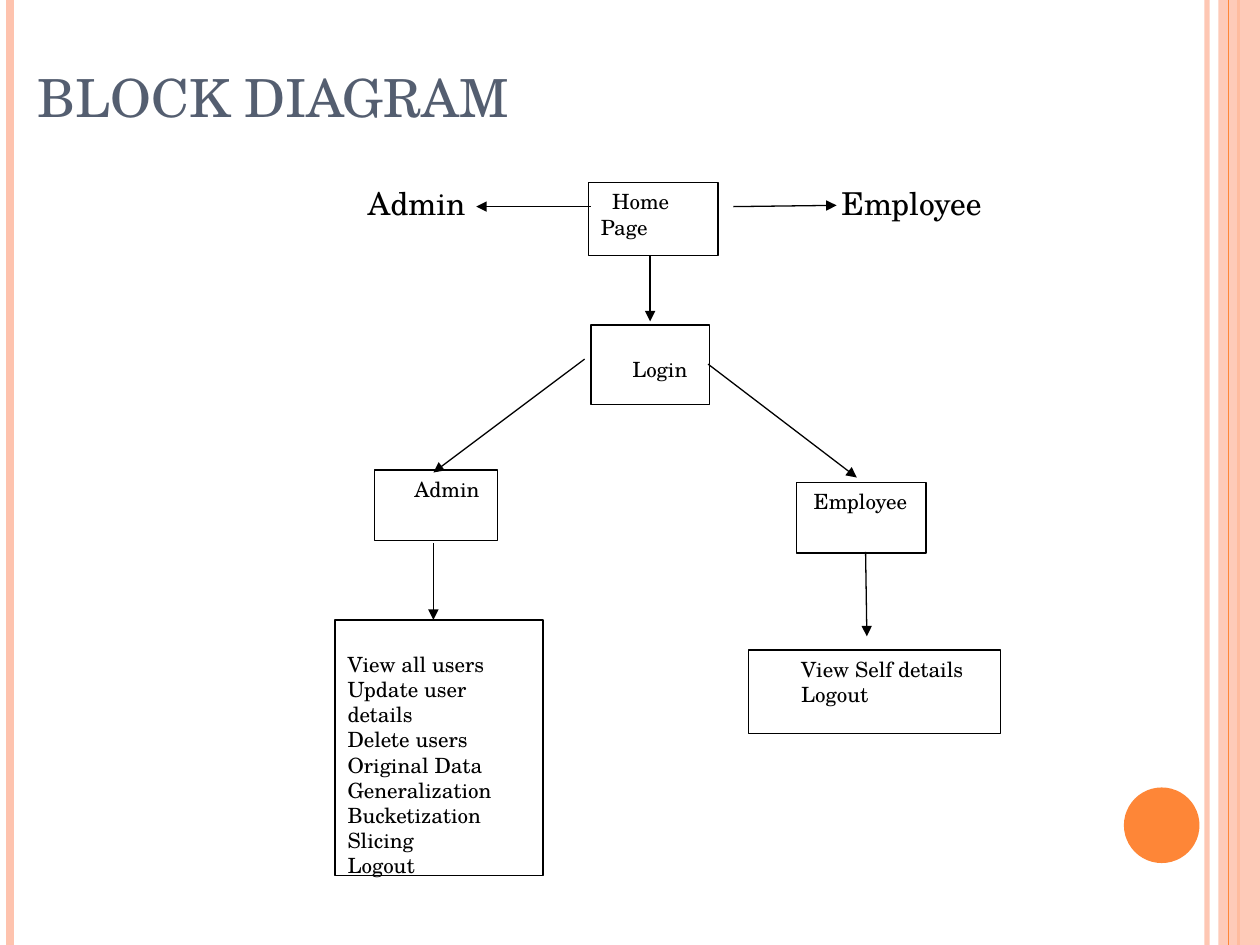
from dataclasses import dataclass

from lxml import etree
from pptx import Presentation
from pptx.dml.color import RGBColor
from pptx.enum.shapes import MSO_CONNECTOR, MSO_SHAPE
from pptx.enum.text import MSO_ANCHOR, MSO_AUTO_SIZE, PP_ALIGN
from pptx.oxml.ns import qn
from pptx.util import Inches, Pt

RECT, OVAL = MSO_SHAPE.RECTANGLE, MSO_SHAPE.OVAL
STRAIGHT = MSO_CONNECTOR.STRAIGHT
TOP, MIDDLE, BOTTOM = MSO_ANCHOR.TOP, MSO_ANCHOR.MIDDLE, MSO_ANCHOR.BOTTOM
LEFT, FIXED = PP_ALIGN.LEFT, MSO_AUTO_SIZE.NONE
CELL = 0.1
LINE = 0.2


@dataclass(frozen=True)
class Theme:
    """Colours, font and type sizes."""
    font: str = "TeX Gyre Schola"
    ink: str = "000000"
    paper: str = "FFFFFF"
    slate: str = "545E70"
    peach: str = "FEC3AE"
    orange: str = "FE8637"
    head: int = 30
    label: int = 18
    body: int = 12
    thin: float = 0.75


@dataclass(frozen=True)
class Box:
    """A region in inches, ruled into cells."""
    left: float
    top: float
    width: float
    height: float

    def spot(self, col, row):
        """Return the slide position of a grid point."""
        return Inches(self.left + col * CELL), Inches(self.top + row * CELL)

    def area(self, col, row, cols, rows):
        """Return the slide frame of a block of cells."""
        return (*self.spot(col, row), Inches(cols * CELL), Inches(rows * CELL))

    def frame(self):
        """Return the whole region as a slide frame."""
        return self.area(0, 0, self.width / CELL, self.height / CELL)


THEME = Theme()


def fade(part, share):
    """Set the opacity of a solid fill or line in percent."""
    for color in part.iter(qn("a:srgbClr")):
        etree.SubElement(color, qn("a:alpha")).set("val", str(share * 1000))


def rule(slide, start, end, color, width):
    """Draw a straight line without a shadow."""
    line = slide.shapes.add_connector(STRAIGHT, *start, *end)
    line.line.color.rgb = RGBColor.from_string(color)
    line.line.width = Pt(width)
    etree.SubElement(line._element.spPr, qn("a:effectLst"))
    return line


def arrow(slide, start, end):
    """Draw a line with a head at its end."""
    line = rule(slide, start, end, THEME.ink, THEME.thin)
    etree.SubElement(line.line._get_or_add_ln(), qn("a:tailEnd")).set("type", "triangle")


def block(slide, kind, frame, fill, edge=None):
    """Draw a filled shape, outlined if an edge colour is given."""
    shape = slide.shapes.add_shape(kind, *frame)
    shape.shadow.inherit = False
    shape.fill.solid()
    shape.fill.fore_color.rgb = RGBColor.from_string(fill)
    if edge:
        shape.line.color.rgb = RGBColor.from_string(edge)
        shape.line.width = Pt(THEME.thin)
    else:
        shape.line.fill.background()
    return shape


def write(shape, text, size, color, anchor=TOP, indent=0):
    """Fill a shape with left-aligned text."""
    frame = shape.text_frame
    frame.text = text
    frame.word_wrap = True
    frame.auto_size = FIXED
    frame.vertical_anchor = anchor
    for para in frame.paragraphs:
        para.alignment = LEFT
        props = para._p.get_or_add_pPr()
        props.set("marL", "0")
        props.set("indent", str(Inches(indent)))
        for run in para.runs:
            run.font.name = THEME.font
            run.font.size = Pt(size)
            run.font.color.rgb = RGBColor.from_string(color)


def rails(slide, box):
    """Draw the side bands and the round badge."""
    rows = box.height / CELL

    def bar(col, color, width):
        """Draw one line from top to bottom."""
        return rule(slide, box.spot(col, 0), box.spot(col, rows), color, width)

    fade(bar(95.8, THEME.peach, 3)._element.spPr, 93)
    bar(0.8, THEME.peach, 4.5)
    bar(98.3, THEME.orange, 1.5)
    band = block(slide, RECT, box.area(96.7, 0, 3.3, rows), THEME.peach)
    fade(band._element.spPr, 87)
    bar(97.5, THEME.orange, THEME.thin)
    block(slide, OVAL, box.area(89.2, 62.5, 6, 6), THEME.orange)


def heading(slide, box, text):
    """Place the title."""
    title = slide.shapes.title
    title.left, title.top, title.width, title.height = box.frame()
    write(title, text, THEME.head, THEME.slate, BOTTOM)


def diagram(slide, box):
    """Draw the page flow for both roles."""
    tasks = ["View all users", "Update user details", "Delete users", "Original Data",
             "Generalization", "Bucketization", "Slicing", "Logout"]
    nodes = [
        ("Home Page", (42.7, 0.5, 10.3, 5.8), 0.09, 0),
        ("Login", (42.9, 11.8, 9.4, 6.3), 0.23, 1),
        ("Admin", (25.7, 23.3, 9.8, 5.6), 0.22, 0),
        ("Employee", (59.2, 24.3, 10.3, 5.6), 0.04, 0),
        ("\n".join(tasks), (22.6, 35.2, 16.5, 20.3), 0, 1),
        ("View Self details\nLogout", (55.4, 37.6, 20, 6.6), 0.32, 0),
    ]
    links = [
        ((47.6, 6.3), (47.6, 11.5)),
        ((42.4, 14.5), (30.4, 23.5)),
        ((52.2, 14.9), (64, 23.9)),
        ((54.2, 2.4), (62.4, 2.3)),
        ((42.9, 2.4), (33.8, 2.4)),
        ((30.4, 29.1), (30.4, 35.2)),
        ((64.7, 29.8), (64.8, 36.5)),
    ]
    for text, cells, indent, drop in nodes:
        node = block(slide, RECT, box.area(*cells), THEME.paper, THEME.ink)
        write(node, text, THEME.body, THEME.ink, indent=indent)
        node.text_frame.margin_top = Inches(0.05 + drop * LINE)
    for start, end in links:
        arrow(slide, box.spot(*start), box.spot(*end))
    for text, col in (("Admin", 24.2), ("Employee", 61.8)):
        role = slide.shapes.add_textbox(*box.area(col, 0.1, 15, 4))
        write(role, text, THEME.label, THEME.ink, MIDDLE)


def main():
    """Build and save the slide."""
    deck = Presentation()
    deck.slide_width, deck.slide_height = Inches(10), Inches(7.5)
    slide = deck.slides.add_slide(deck.slide_layouts[5])
    rails(slide, Box(0, 0, 10, 7.5))
    heading(slide, Box(0.2, 0.2, 8.27, 0.87), "BLOCK DIAGRAM")
    diagram(slide, Box(0.4, 1.4, 7.7, 5.6))
    deck.save("out.pptx")


if __name__ == "__main__":
    main()
